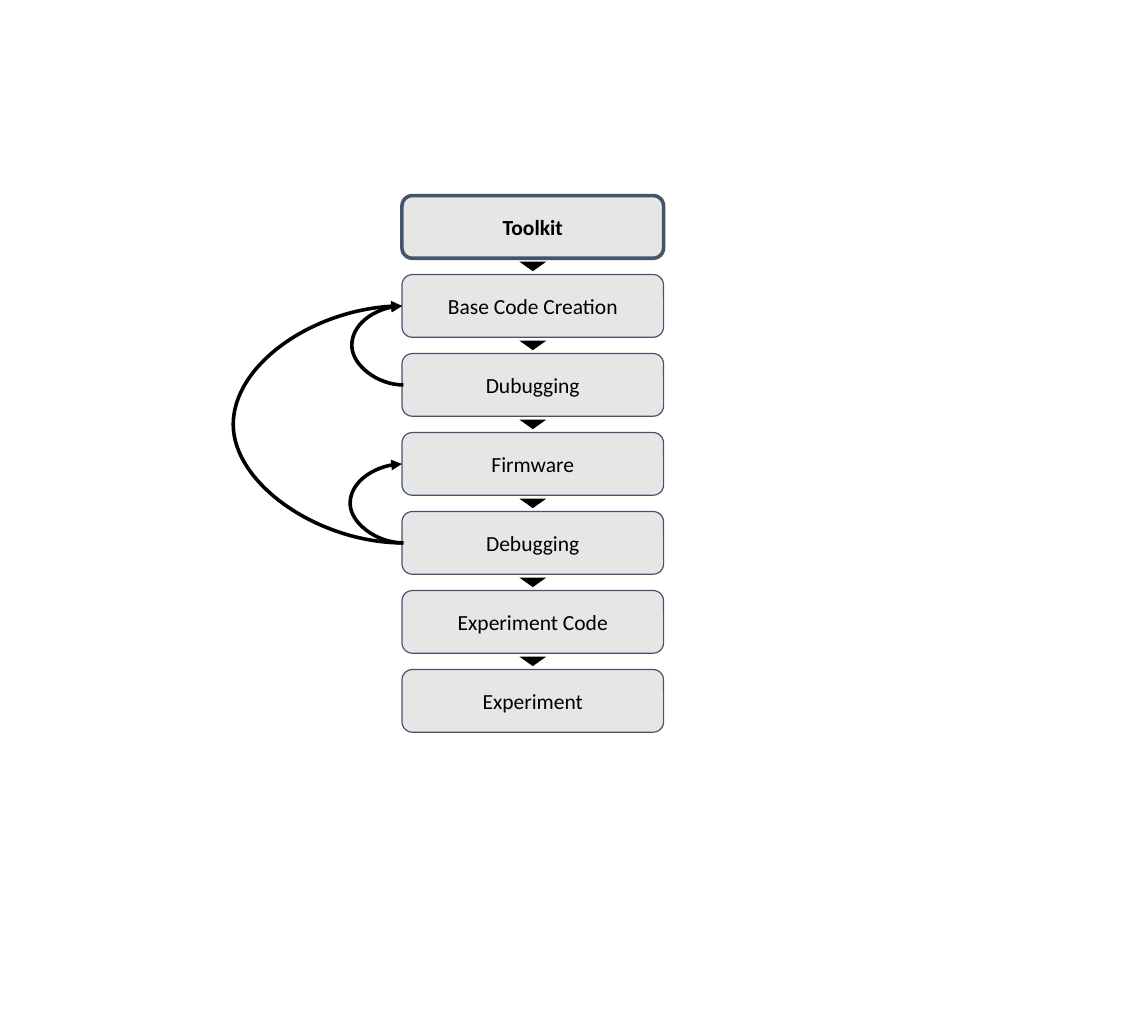
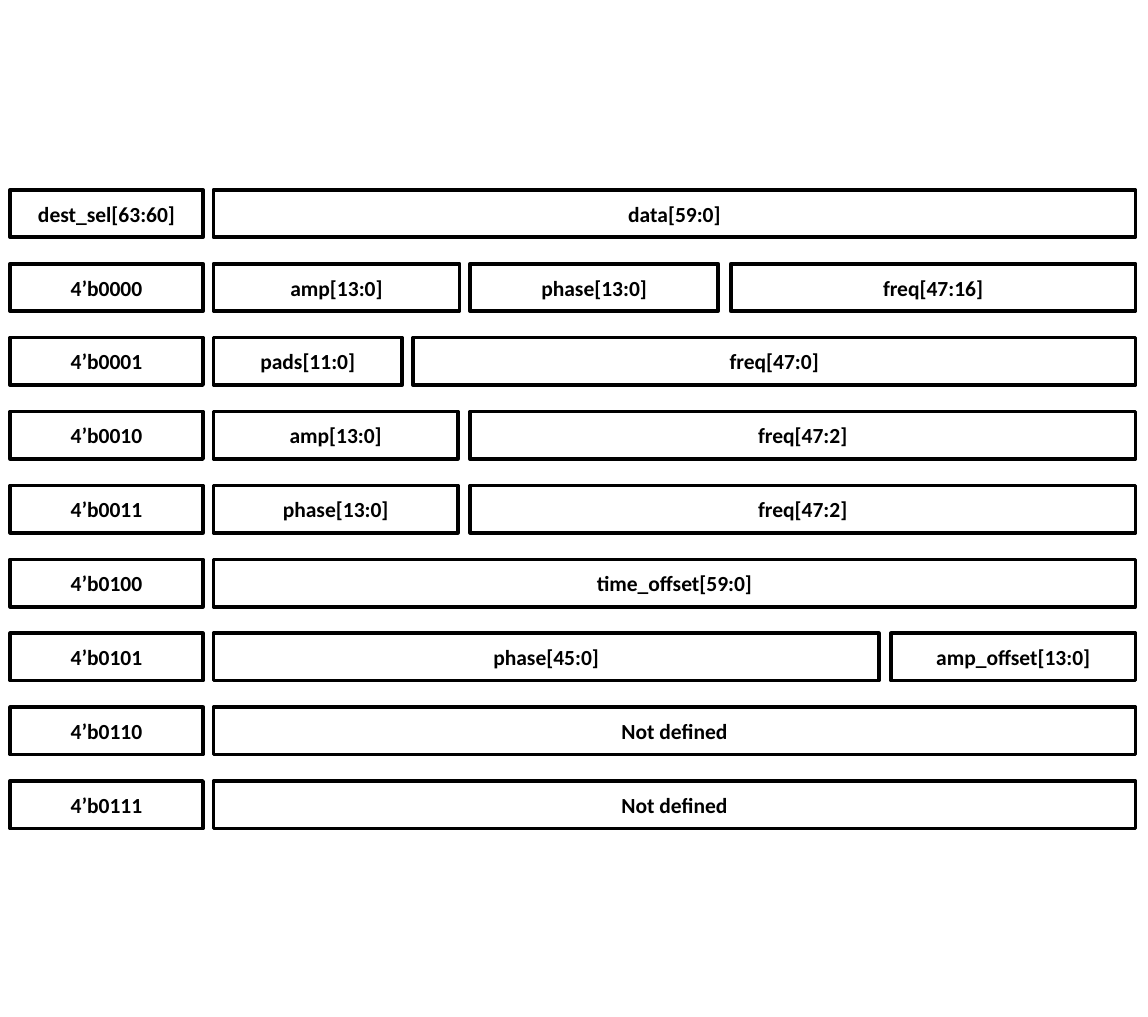
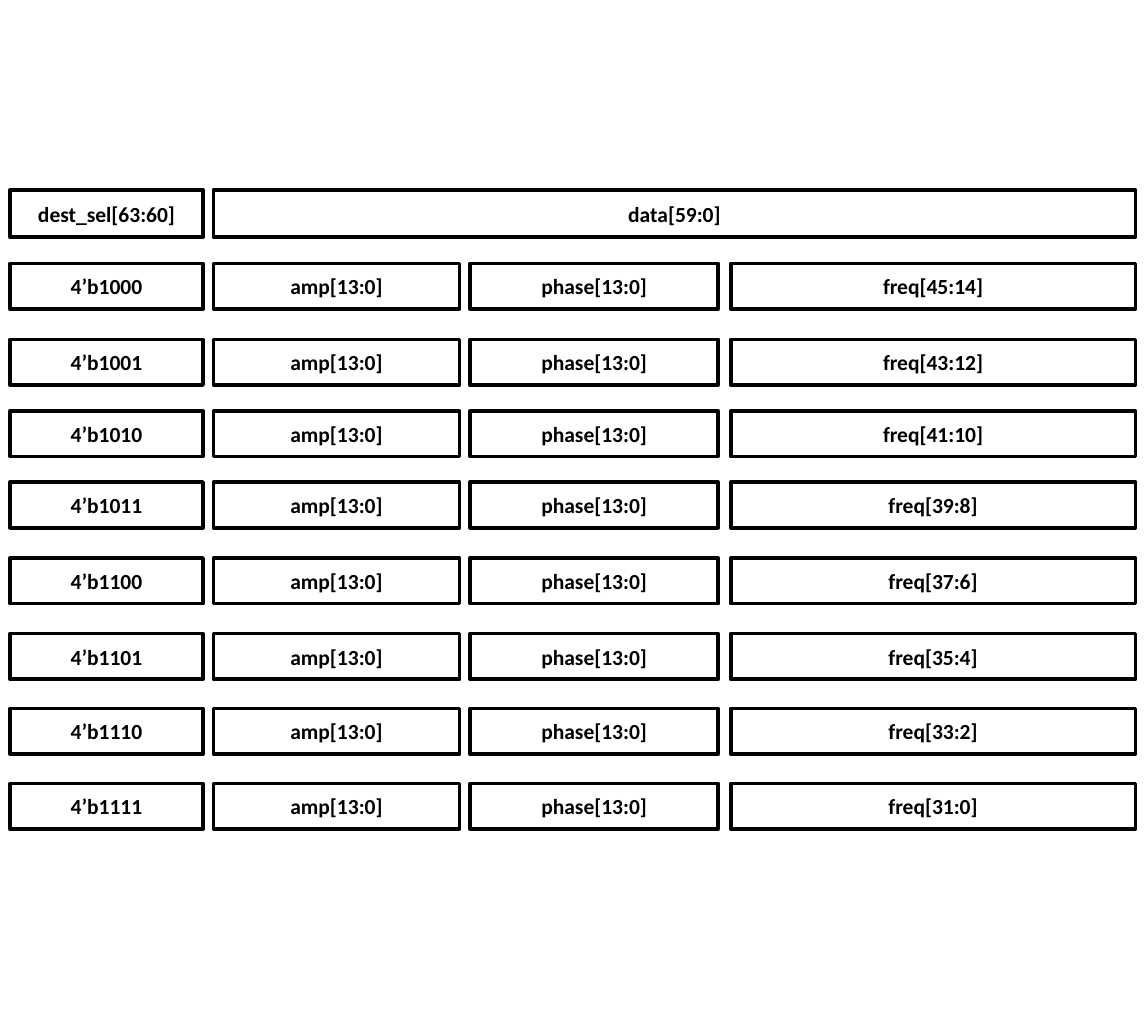
"""Build three slides: a work flow and two tables of command bit fields."""
from lxml import etree
from pptx import Presentation, util as u
from pptx.dml.color import RGBColor
from pptx.enum import shapes, text
from pptx.oxml.ns import qn

Cm, Pt = u.Cm, u.Pt
kind = shapes.MSO_SHAPE
hues = {"ink": "000000", "fill": "E7E6E6", "edge": "44546A"}
font, size = "Calibri", 18

deck = Presentation()
deck.slide_width, deck.slide_height = Cm(33.87), Cm(30)
flow, low, high = [deck.slides.add_slide(deck.slide_layouts[6]) for _ in range(3)]


def hue(name):
    return RGBColor.from_string(hues[name])


def box(slide, form, words, spot, edge="ink", width=3, fill=None, bold=True):
    shape = slide.shapes.add_shape(form, *[Cm(v) for v in spot])
    shape.shadow.inherit = False
    if fill:
        shape.fill.solid()
        shape.fill.fore_color.rgb = hue(fill)
    else:
        shape.fill.background()
    shape.line.color.rgb = hue(edge)
    shape.line.width = Pt(width)
    frame = shape.text_frame
    frame.text = words
    frame.word_wrap = True
    frame.vertical_anchor = text.MSO_ANCHOR.MIDDLE
    para = frame.paragraphs[0]
    para.alignment = text.PP_ALIGN.CENTER
    face = para.runs[0].font
    face.name, face.size, face.bold = font, Pt(size), bold
    face.color.rgb = hue("ink")


steps = ["Toolkit", "Base Code Creation", "Dubugging", "Firmware",
         "Debugging", "Experiment Code", "Experiment"]
left, top, wide, tall, pitch = 11.86, 5.77, 7.72, 1.85, 2.33
tip, drop = 0.79, 0.28
for i, step in enumerate(steps):
    y = top + i * pitch
    first = i == 0
    box(flow, kind.ROUNDED_RECTANGLE, step, (left, y, wide, tall),
        edge="edge", width=3 if first else 1, fill="fill", bold=first)
    if i:
        mark = flow.shapes.add_shape(
            kind.ISOSCELES_TRIANGLE, Cm(left + (wide - tip) / 2),
            Cm(y - (pitch - tall + drop) / 2), Cm(tip), Cm(drop))
        mark.rotation = 180
        mark.shadow.inherit = False
        mark.fill.solid()
        mark.fill.fore_color.rgb = hue("ink")
        mark.line.fill.background()

span = 0.04
for start, end, bulge in [(2, 1, 1.52), (4, 1, 5.02), (4, 3, 1.57)]:
    high_y, low_y = [top + n * pitch + tall / 2 for n in (end, start)]
    loop = flow.shapes.add_connector(
        shapes.MSO_CONNECTOR.CURVE, Cm(left), Cm(high_y), Cm(left + span), Cm(low_y))
    loop.line.color.rgb = hue("ink")
    loop.line.width = Pt(3)
    props = loop._element.spPr
    props.find(qn("a:xfrm")).set("rot", "10800000")
    bend = props.find(qn("a:prstGeom")).get_or_add_avLst()
    etree.SubElement(bend, qn("a:gd"), name="adj1",
                     fmla=f"val {round(bulge / span * 100000)}")
    etree.SubElement(props.find(qn("a:ln")), qn("a:tailEnd"), type="triangle")
    etree.SubElement(props, qn("a:effectLst"))

code = (0.3, 5.69)
whole = [code, (6.3, 27.2)]
thirds = [code, (6.3, 7.26), (13.87, 7.32), (21.56, 11.94)]
pads = [code, (6.3, 5.56), (12.19, 21.31)]
short = [code, (6.3, 7.21), (13.87, 19.63)]
long = [code, (6.3, 19.63), (26.29, 7.21)]

head = 5.6
title = (head, 1.4, whole, ["dest_sel[63:60]", "data[59:0]"])
basic = [
    (thirds, ["amp[13:0]", "phase[13:0]", "freq[47:16]"]),
    (pads, ["pads[11:0]", "freq[47:0]"]),
    (short, ["amp[13:0]", "freq[47:2]"]),
    (short, ["phase[13:0]", "freq[47:2]"]),
    (whole, ["time_offset[59:0]"]),
    (long, ["phase[45:0]", "amp_offset[13:0]"]),
    (whole, ["Not defined"]),
    (whole, ["Not defined"]),
]
tops = [7.77, 10.01, 12.12, 14.22, 16.46, 18.69, 20.9, 23.11]

lows = [(head + (i + 1) * 2.18, 1.4, cols, [f"4’b0{i:03b}"] + names)
        for i, (cols, names) in enumerate(basic)]
highs = [(y, 1.35, thirds, [f"4’b1{i:03b}", "amp[13:0]", "phase[13:0]",
                            f"freq[{45 - 2 * i}:{14 - 2 * i}]"])
         for i, y in enumerate(tops)]

for slide, rows in [(low, lows), (high, highs)]:
    for y, deep, cols, names in [title] + rows:
        for (x, w), name in zip(cols, names):
            box(slide, kind.RECTANGLE, name, (x, y, w, deep))

deck.save("out.pptx")
